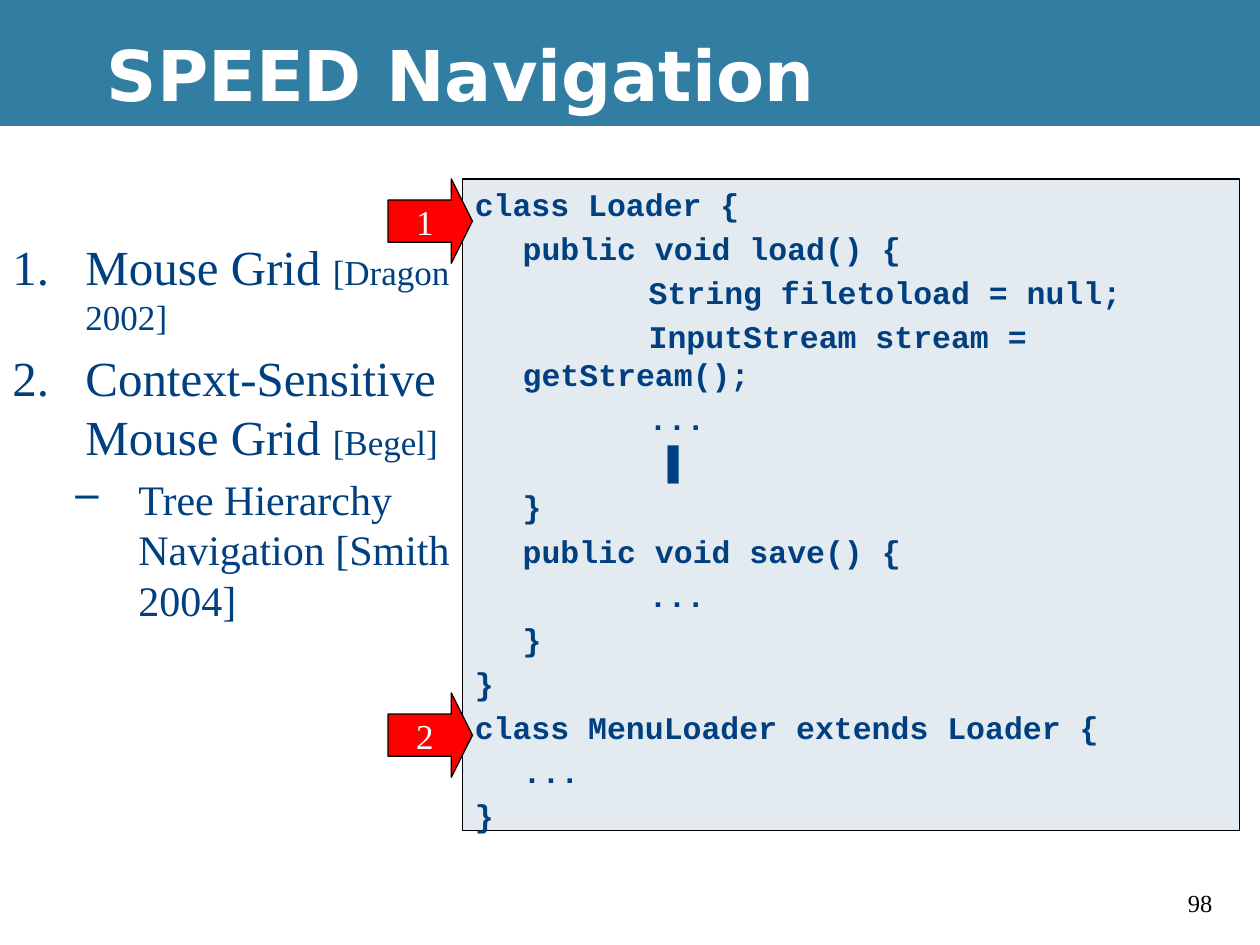
from lxml import etree
from pptx import Presentation
from pptx.dml.color import RGBColor
from pptx.enum import shapes, text
from pptx.oxml.ns import qn
from pptx.util import Inches, Pt

NAVY, WHITE, BLACK = "004080", "FFFFFF", "000000"
SERIF, MONO = "Times New Roman", "Courier New"


def rgb(value):
    return RGBColor.from_string(value)


def add_run(paragraph, words, size, font, color, bold=False):
    run = paragraph.add_run()
    run.text = words
    run.font.size = Pt(size)
    run.font.name = font
    run.font.bold = bold
    run.font.color.rgb = rgb(color)


prs = Presentation()
prs.slide_width, prs.slide_height = Inches(10), Inches(7.5)
slide = prs.slides.add_slide(prs.slide_layouts[6])
slide.background.fill.solid()
slide.background.fill.fore_color.rgb = rgb(BLACK)

# Page body and header band
for top, height, color in [(1, 6.5, WHITE), (0, 1, "327EA3")]:
    band = slide.shapes.add_shape(shapes.MSO_SHAPE.RECTANGLE, 0, Inches(top),
                                  Inches(10), Inches(height))
    band.shadow.inherit = False
    band.fill.solid()
    band.fill.fore_color.rgb = rgb(color)
    band.line.fill.background()

# Page number and title
for left, top, width, height, words, size, font, color, bold in [
    (9.33, 7, 0.5, 0.33, "98", 14, SERIF, BLACK, False),
    (0.75, 0.08, 9.25, 1, "SPEED Navigation", 40, "DejaVu Sans", WHITE, True),
]:
    label = slide.shapes.add_textbox(Inches(left), Inches(top), Inches(width),
                                     Inches(height)).text_frame
    label.word_wrap = True
    if bold:
        label.vertical_anchor = text.MSO_ANCHOR.MIDDLE
    add_run(label.paragraphs[0], words, size, font, color, bold)

# Navigation techniques: level, left margin, hanging indent, runs
techniques = [
    (0, 0.58, 0.58, [("Mouse Grid ", 28), ("[Dragon 2002]", 20)]),
    (0, 0.58, 0.58, [("Context-Sensitive Mouse Grid ", 28), ("[Begel]", 20)]),
    (1, 1, 0.5, [("Tree Hierarchy Navigation [Smith 2004]", 24)]),
]
outline = slide.shapes.add_textbox(Inches(0), Inches(1.83), Inches(3.83),
                                   Inches(4.83)).text_frame
outline.word_wrap = True
for i, (level, margin, hanging, runs) in enumerate(techniques):
    item = outline.add_paragraph() if i else outline.paragraphs[0]
    item.level = level
    if i:
        item.space_before = Pt(runs[0][1] * 0.2)
    props = item._p.get_or_add_pPr()
    props.set("marL", str(Inches(margin)))
    props.set("indent", str(-Inches(hanging)))
    if level:
        etree.SubElement(props, qn("a:buChar"), char="–")
    else:
        etree.SubElement(props, qn("a:buAutoNum"), type="arabicPeriod")
    for words, size in runs:
        add_run(item, words, size, SERIF, NAVY)

# Code listing, one paragraph a line
code_lines = [
    "class Loader {",
    "\tpublic void load() {",
    "\t\tString filetoload = null;",
    "\t\tInputStream stream = getStream();",
    "\t\t...",
    "\t\t ▌",
    "\t}",
    "\tpublic void save() {",
    "\t\t...",
    "\t}",
    "}",
    "class MenuLoader extends Loader {",
    "\t...",
    "}",
]
panel = slide.shapes.add_shape(shapes.MSO_SHAPE.RECTANGLE, Inches(3.67),
                               Inches(1.42), Inches(6.17), Inches(5.17))
panel.shadow.inherit = False
panel.fill.solid()
panel.fill.fore_color.rgb = rgb("E3EBF1")
panel.line.color.rgb = rgb(BLACK)
panel.line.width = Pt(0.75)
listing = panel.text_frame
listing.word_wrap = True
listing.vertical_anchor = text.MSO_ANCHOR.TOP
for i, code in enumerate(code_lines):
    line = listing.add_paragraph() if i else listing.paragraphs[0]
    line.alignment = text.PP_ALIGN.LEFT
    if i:
        line.space_before = Pt(3.6)
    props = line._p.get_or_add_pPr()
    props.set("marL", str(Inches(0.38)))
    props.set("indent", str(-Inches(0.38)))
    props.set("defTabSz", str(Inches(1)))
    before, cursor, _ = code.partition("▌")
    add_run(line, before, 18, MONO, NAVY, True)
    if cursor:
        add_run(line, cursor, 18, "Arial", NAVY, True)

# Numbered arrows pointing at the two classes
for number, top in [("1", 1.42), ("2", 5.5)]:
    arrow = slide.shapes.add_shape(shapes.MSO_SHAPE.RIGHT_ARROW, Inches(3.08),
                                   Inches(top), Inches(0.67), Inches(0.67))
    arrow.adjustments[0] = 0.5
    arrow.adjustments[1] = 0.25
    arrow.shadow.inherit = False
    arrow.fill.solid()
    arrow.fill.fore_color.rgb = rgb("FF0000")
    arrow.line.color.rgb = rgb(BLACK)
    arrow.line.width = Pt(0.75)
    arrow.text_frame.word_wrap = False
    arrow.text_frame.vertical_anchor = text.MSO_ANCHOR.MIDDLE
    caption = arrow.text_frame.paragraphs[0]
    caption.alignment = text.PP_ALIGN.CENTER
    add_run(caption, number, 20, SERIF, WHITE)

prs.save("out.pptx")
